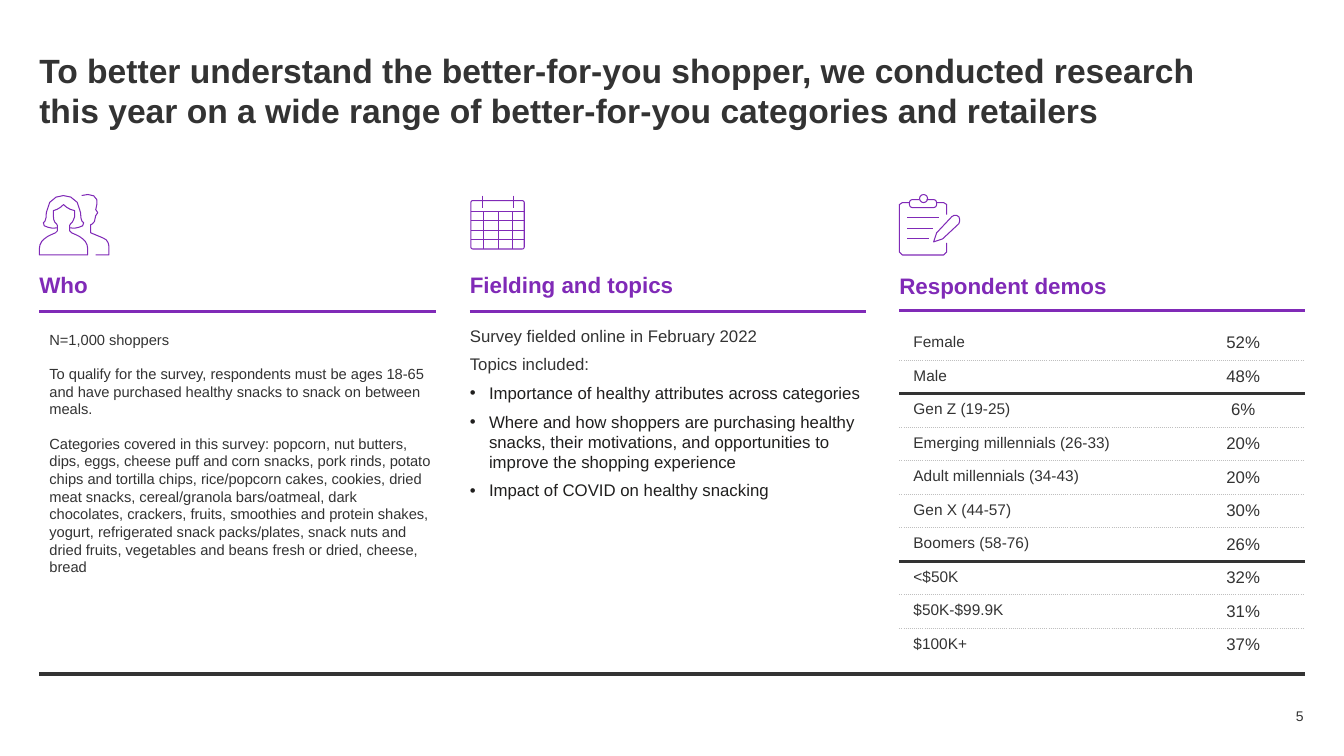
"""Build the research overview slide with three columns and a demographics table."""
import dataclasses

import lxml.etree
import pptx
import pptx.dml.color
import pptx.enum.shapes
import pptx.enum.text
import pptx.oxml.ns
import pptx.util

Inches = pptx.util.Inches
Pt = pptx.util.Pt
Align = pptx.enum.text.PP_ALIGN
Shape = pptx.enum.shapes.MSO_SHAPE


@dataclasses.dataclass(frozen=True)
class Theme:
    font: str = "Arial"
    ink: str = "333333"
    bullet_ink: str = "201F1E"
    accent: str = "802AB7"
    dots: str = "BFBFBF"
    title_size: float = 24
    heading_size: float = 16
    body_size: float = 12
    label_size: float = 11
    detail_size: float = 10.5
    number_size: float = 10
    icon_line: float = 0.75
    rule_line: float = 2.5
    footer_line: float = 3


COLUMN_LEFTS = (0.39, 4.66, 8.92)
COLUMN_WIDTH = 4.02
BODY_TOP, BODY_HEIGHT = 3.23, 3.02

TITLE = ("To better understand the better-for-you shopper, we conducted research \v"
         "this year on a wide range of better-for-you categories and retailers")
WHO = (
    "N=1,000 shoppers",
    "To qualify for the survey, respondents must be ages 18-65 and have purchased "
    "healthy snacks to snack on between meals.",
    "Categories covered in this survey: popcorn, nut butters, dips, eggs, cheese puff and "
    "corn snacks, pork rinds, potato chips and tortilla chips, rice/popcorn cakes, cookies, "
    "dried meat snacks, cereal/granola bars/oatmeal, dark chocolates, crackers, fruits, "
    "smoothies and protein shakes, yogurt, refrigerated snack packs/plates, snack nuts and "
    "dried fruits, vegetables and beans fresh or dried, cheese, bread",
)
FIELDING = ("Survey fielded online in February 2022", "Topics included:")
TOPICS = (
    "Importance of healthy attributes across categories",
    "Where and how shoppers are purchasing healthy snacks, their motivations, and "
    "opportunities to improve the shopping experience",
    "Impact of COVID on healthy snacking",
)
DEMO_GROUPS = (
    (("Female", "52%"), ("Male", "48%")),
    (("Gen Z (19-25)", "6%"), ("Emerging millennials (26-33)", "20%"),
     ("Adult millennials (34-43)", "20%"), ("Gen X (44-57)", "30%"), ("Boomers (58-76)", "26%")),
    (("<$50K", "32%"), ("$50K-$99.9K", "31%"), ("$100K+", "37%")),
)
CLIPBOARD_OUTLINES = (
    "M 9.39,2.41 L 9.39,2.5 L 9.36,2.53 L 8.95,2.53 L 8.92,2.5 L 8.92,2.03 L 8.95,2.01 L 9.02,2.01",
    "M 9.29,2.01 L 9.36,2.01 L 9.39,2.03 L 9.39,2.13",
    "M 9.19,1.98 L 9.26,1.98 C 9.27,1.98 9.29,1.99 9.29,2.01 L 9.29,2.03 "
    "C 9.29,2.05 9.27,2.06 9.26,2.06 L 9.05,2.06 C 9.04,2.06 9.02,2.05 9.02,2.03 L 9.02,2.01 "
    "C 9.02,1.99 9.04,1.98 9.05,1.98 L 9.12,1.98",
    "M 9.35,2.37 L 9.26,2.4 L 9.29,2.31 L 9.44,2.15 C 9.46,2.13 9.49,2.13 9.51,2.15 "
    "C 9.52,2.17 9.52,2.2 9.51,2.22 Z",
)
PEOPLE_OUTLINES = (
    "M 0.95,2.53 L 1.08,2.53 L 1.08,2.44 C 1.08,2.41 1.06,2.37 1.02,2.36 L 0.9,2.31 "
    "L 0.9,2.23 C 0.9,2.23 0.95,2.22 0.95,2.14 L 0.97,2.11 L 0.95,2.08 "
    "C 0.95,2.07 0.97,2.02 0.96,1.98 C 0.95,1.93 0.87,1.92 0.81,1.94",
    "M 0.69,2.26 C 0.74,2.27 0.78,2.26 0.82,2.24 L 0.83,2.21 "
    "C 0.81,2.2 0.8,2.17 0.8,2.11 C 0.79,1.98 0.7,1.94 0.63,1.94 C 0.56,1.94 0.47,1.98 0.46,2.11 "
    "C 0.46,2.17 0.45,2.2 0.43,2.21 L 0.44,2.24 C 0.48,2.26 0.52,2.27 0.57,2.26",
    "M 0.71,2.31 L 0.69,2.29 L 0.69,2.24 L 0.7,2.22 "
    "C 0.72,2.21 0.73,2.18 0.74,2.15 L 0.74,2.09 C 0.69,2.08 0.66,2.06 0.63,2.03 "
    "C 0.6,2.06 0.57,2.08 0.53,2.09 L 0.53,2.15 C 0.53,2.18 0.54,2.21 0.56,2.22 "
    "L 0.57,2.24 L 0.57,2.29 L 0.55,2.31 "
    "C 0.51,2.33 0.47,2.34 0.44,2.37 C 0.41,2.39 0.39,2.43 0.39,2.47 L 0.39,2.53 L 0.87,2.53 "
    "L 0.87,2.47 C 0.87,2.43 0.85,2.39 0.82,2.37 C 0.79,2.34 0.75,2.33 0.71,2.31 Z",
)
CALENDAR_LINES = ([(x, 1.94, x, 2.06) for x in (4.79, 5.09)]
                  + [(x, 2.1, x, 2.47) for x in (4.8, 4.94, 5.08)]
                  + [(4.67, y, 5.2, y) for y in (2.1, 2.19, 2.29, 2.38)])
CLIPBOARD_LINES = [(9, y, right, y) for y, right in ((2.16, 9.31), (2.27, 9.25), (2.37, 9.21))]


def outline_points(outline, steps=3):
    """Turn an outline of moves, lines and curves into points in thousandths of an inch."""
    points, command, pending = [], "M", []
    for token in outline.split():
        if token in "MLCZ":
            command = token
            continue
        pending.append(tuple(1000 * float(number) for number in token.split(",")))
        if command != "C":
            points.append(pending.pop())
        elif len(pending) == 3:
            controls = [points[-1], *pending]
            for step in range(1, steps + 1):
                t = step / steps
                weights = ((1 - t) ** 3, 3 * t * (1 - t) ** 2, 3 * t * t * (1 - t), t ** 3)
                points.append(tuple(sum(w * c[axis] for w, c in zip(weights, controls))
                                    for axis in (0, 1)))
            pending = []
    return points


class SlideBuilder:
    """Holds the theme and the current slide and draws each kind of element."""

    def __init__(self, slide, theme):
        self.slide, self.theme = slide, theme

    def color(self, value):
        return pptx.dml.color.RGBColor.from_string(value)

    def style(self, paragraph, size, color, bold=False, align=Align.LEFT):
        paragraph.alignment = align
        for run in paragraph.runs:
            run.font.name, run.font.size, run.font.bold = self.theme.font, Pt(size), bold
            run.font.color.rgb = self.color(color)

    def text(self, shape, box, lines, size, color=None, bold=False, gap=0, insets=(0, 0),
             bullets_from=None, align=Align.LEFT):
        shape.left, shape.top, shape.width, shape.height = (Inches(length) for length in box)
        frame = shape.text_frame
        frame.text = "\n".join(lines)
        frame.word_wrap, frame.auto_size = True, pptx.enum.text.MSO_AUTO_SIZE.NONE
        frame.vertical_anchor = pptx.enum.text.MSO_ANCHOR.TOP
        frame.margin_left = frame.margin_right = Inches(insets[0])
        frame.margin_top = frame.margin_bottom = Inches(insets[1])
        for index, paragraph in enumerate(frame.paragraphs):
            bulleted = bullets_from is not None and index >= bullets_from
            self.bullet(paragraph, bulleted)
            paragraph.space_before = Pt(gap if index else 0)
            paragraph.space_after = Pt(0)
            paragraph.line_spacing = 1.0
            ink = self.theme.bullet_ink if bulleted else color or self.theme.ink
            self.style(paragraph, size, ink, bold, align)
        return shape

    def bullet(self, paragraph, shown):
        properties = paragraph._p.get_or_add_pPr()
        indent = Inches(0.19) if shown else 0
        properties.set("marL", str(indent))
        properties.set("indent", str(-indent))
        tag = pptx.oxml.ns.qn("a:buChar" if shown else "a:buNone")
        mark = lxml.etree.SubElement(properties, tag)
        if shown:
            mark.set("char", "•")

    def line(self, ends, color, width):
        connector = self.slide.shapes.add_connector(
            pptx.enum.shapes.MSO_CONNECTOR.STRAIGHT, *(Inches(length) for length in ends))
        connector.line.color.rgb, connector.line.width = self.color(color), Pt(width)
        lxml.etree.SubElement(connector._element.spPr, pptx.oxml.ns.qn("a:effectLst"))

    def icon_style(self, shape):
        shape.shadow.inherit = False
        shape.fill.background()
        shape.line.color.rgb = self.color(self.theme.accent)
        shape.line.width = Pt(self.theme.icon_line)

    def icon_shape(self, kind, box):
        shape = self.slide.shapes.add_shape(kind, *(Inches(length) for length in box))
        self.icon_style(shape)
        return shape

    def icon_outline(self, outline):
        points = outline_points(outline)
        builder = self.slide.shapes.build_freeform(*points[0], scale=Inches(1) / 1000)
        builder.add_line_segments(points[1:], close=outline.endswith("Z"))
        self.icon_style(builder.convert_to_shape())

    def borders(self, cell, edges):
        properties = cell._tc.get_or_add_tcPr()
        for position, side in enumerate("LRTB"):
            color, width, dash = edges.get(side, (None, 0, None))
            border = lxml.etree.Element(pptx.oxml.ns.qn("a:ln" + side), w=str(Pt(width)))
            fill = lxml.etree.SubElement(
                border, pptx.oxml.ns.qn("a:solidFill" if color else "a:noFill"))
            if color:
                lxml.etree.SubElement(fill, pptx.oxml.ns.qn("a:srgbClr"), val=color)
                lxml.etree.SubElement(border, pptx.oxml.ns.qn("a:prstDash"), val=dash)
            properties.insert(position, border)

    def demographics(self, groups, left, top, widths, height):
        rows = [row for group in groups for row in group]
        dotted, solid = (self.theme.dots, 1, "sysDot"), (self.theme.ink, 2.25, "solid")
        below = [edge for group in groups for edge in [dotted] * (len(group) - 1) + [solid]]
        below[-1] = (None, 0, None)
        table = self.slide.shapes.add_table(
            len(rows), len(widths), Inches(left), Inches(top),
            Inches(sum(widths)), Inches(height)).table
        table.first_row = table.horz_banding = False
        for column, width in zip(table.columns, widths):
            column.width = Inches(width)
        formats = ((self.theme.label_size, Align.LEFT), (self.theme.body_size, Align.CENTER))
        for index, values in enumerate(rows):
            edges = {"B": below[index]}
            if index:
                edges["T"] = below[index - 1]
            for column, (value, (size, align)) in enumerate(zip(values, formats)):
                cell = table.cell(index, column)
                cell.text_frame.text = value
                cell.margin_left = cell.margin_right = Inches(0.14)
                cell.margin_top = cell.margin_bottom = Inches(0.07)
                cell.fill.background()
                self.style(cell.text_frame.paragraphs[0], size, self.theme.ink, align=align)
                self.borders(cell, edges)


def main():
    theme = Theme()
    presentation = pptx.Presentation()
    presentation.slide_width, presentation.slide_height = Inches(13.33), Inches(7.5)
    slide = presentation.slides.add_slide(presentation.slide_layouts[4])
    builder = SlideBuilder(slide, theme)
    holders = slide.placeholders
    builder.line((0.39, 6.69, 12.94, 6.69), theme.ink, theme.footer_line)
    builder.text(slide.shapes.title, (0.39, 0.47, 12.54, 0.44), [TITLE.replace("\v", "\v")],
                 theme.title_size, bold=True, insets=(0, 0.02))

    headings = (("Who", holders[1], 2.69, 3.09, 3.93),
                ("Fielding and topics", holders[3], 2.69, 3.09, 3.93),
                ("Respondent demos", slide.shapes.add_textbox(0, 0, 0, 0), 2.7, 3.08, 4.02))
    for left, (heading, shape, top, rule, length) in zip(COLUMN_LEFTS, headings):
        builder.text(shape, (left, top, COLUMN_WIDTH, 0.66), [heading],
                     theme.heading_size, theme.accent, True)
        builder.line((left, rule, left + length, rule), theme.accent, theme.rule_line)

    builder.text(holders[2], (COLUMN_LEFTS[0], BODY_TOP, COLUMN_WIDTH, BODY_HEIGHT), WHO,
                 theme.detail_size, gap=12, insets=(0.1, 0.05))
    builder.text(holders[4], (COLUMN_LEFTS[1], BODY_TOP, COLUMN_WIDTH, BODY_HEIGHT),
                 FIELDING + TOPICS, theme.body_size, gap=6, bullets_from=len(FIELDING))
    for outline in PEOPLE_OUTLINES + CLIPBOARD_OUTLINES:
        builder.icon_outline(outline)
    builder.icon_shape(Shape.OVAL, (9.12, 1.93, 0.08, 0.08))
    calendar = builder.icon_shape(Shape.ROUNDED_RECTANGLE, (4.67, 1.99, 0.53, 0.48))
    calendar.adjustments[0] = 0.04
    for ends in CALENDAR_LINES + CLIPBOARD_LINES:
        builder.line(ends, theme.accent, theme.icon_line)
    builder.demographics(DEMO_GROUPS, COLUMN_LEFTS[2], 3.24, (2.8, 1.22), 3.33)
    number = builder.text(slide.shapes.add_textbox(0, 0, 0, 0), (11.87, 6.99, 1.06, 0.22), ["5"],
                          theme.number_size, align=Align.RIGHT)
    number.text_frame.vertical_anchor = pptx.enum.text.MSO_ANCHOR.MIDDLE
    presentation.save("out.pptx")


if __name__ == "__main__":
    main()
